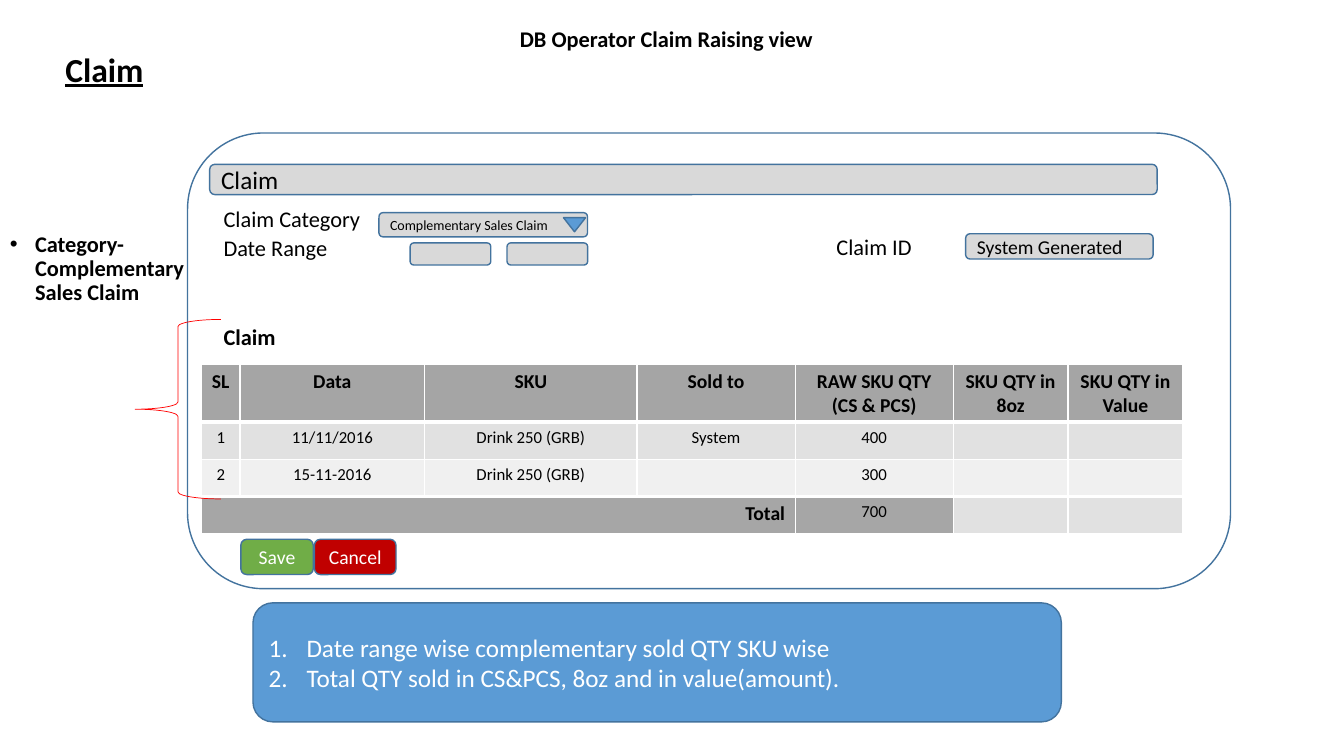
from dataclasses import dataclass

from lxml import etree
from pptx import Presentation
from pptx import util as u
from pptx.dml import color
from pptx.enum import shapes, text
from pptx.oxml import ns

KIND = shapes.MSO_SHAPE
ALIGN = text.PP_ALIGN
BLACK, WHITE, GREY, BLUE = "000000", "FFFFFF", "D9D9D9", "5B9BD5"
EDGE, HEAD, DARK, PALE = "43739E", "A5A5A5", "E1E1E1", "F0F0F0"


@dataclass
class Label:
    x: float
    y: float
    w: float
    h: float
    words: str
    size: float = 16
    bold: bool = False
    line: bool = False
    dot: bool = False


@dataclass
class Box:
    x: float
    y: float
    w: float
    h: float
    fill: str = GREY
    words: str = ""
    size: float = 14
    ink: str = BLACK
    align: ALIGN = ALIGN.LEFT
    kind: KIND = KIND.ROUNDED_RECTANGLE
    edge: str = EDGE
    width: float = 1
    count: bool = False


def paint(code: str) -> color.RGBColor:
    return color.RGBColor.from_string(code)


def style(para, size: float, ink: str, bold: bool = False, line: bool = False) -> None:
    for run in para.runs:
        font = run.font
        font.name = "Calibri"
        font.size = u.Pt(size)
        font.bold = bold
        font.underline = line
        font.color.rgb = paint(ink)


def mark(para, tag: str, indent: float, **attrs: str) -> None:
    props = para._p.get_or_add_pPr()
    props.set("marL", str(u.Pt(indent)))
    props.set("indent", str(-u.Pt(indent)))
    font = etree.SubElement(props, ns.qn("a:buFont"))
    font.set("typeface", "Arial" if tag == "a:buChar" else "+mj-lt")
    etree.SubElement(props, ns.qn(tag), attrs)


def write(slide, label: Label) -> None:
    place = map(u.Pt, (label.x, label.y, label.w, label.h))
    frame = slide.shapes.add_textbox(*place).text_frame
    frame.word_wrap = True
    frame.text = label.words
    para = frame.paragraphs[0]
    para.line_spacing = 0.9
    para.space_before = u.Pt(10)
    style(para, label.size, BLACK, label.bold, label.line)
    if label.dot:
        mark(para, "a:buChar", 18, char="•")


def draw(slide, box: Box) -> None:
    place = map(u.Pt, (box.x, box.y, box.w, box.h))
    shape = slide.shapes.add_shape(box.kind, *place)
    shape.shadow.inherit = False
    if box.fill:
        shape.fill.solid()
        shape.fill.fore_color.rgb = paint(box.fill)
    else:
        shape.fill.background()
    shape.line.color.rgb = paint(box.edge)
    shape.line.width = u.Pt(box.width)
    if not box.words:
        return
    frame = shape.text_frame
    frame.vertical_anchor = text.MSO_ANCHOR.MIDDLE
    frame.text = box.words
    for para in frame.paragraphs:
        para.alignment = box.align
        style(para, box.size, box.ink)
        if box.count:
            mark(para, "a:buAutoNum", 27, type="arabicPeriod")


def border(cell, top: float, base: float) -> None:
    props = cell._tc.get_or_add_tcPr()
    sides = {"a:lnL": 1, "a:lnR": 1, "a:lnT": top, "a:lnB": base}
    for spot, (tag, width) in enumerate(sides.items()):
        line = etree.Element(ns.qn(tag), w=str(u.Pt(width)))
        fill = etree.SubElement(line, ns.qn("a:solidFill"))
        etree.SubElement(fill, ns.qn("a:srgbClr"), val=WHITE)
        props.insert(spot, line)


def fill_cell(cell, words: str, fill: str, bold: bool, align: ALIGN) -> None:
    cell.fill.solid()
    cell.fill.fore_color.rgb = paint(fill)
    cell.text = words
    para = cell.text_frame.paragraphs[0]
    para.alignment = align
    style(para, 14 if bold else 12, BLACK, bold)
    if not words:
        para._p.get_or_add_endParaRPr().set("sz", "1200")


def add_grid(slide) -> None:
    widths = (27.4, 132, 151.6, 113, 113, 82, 82)
    heights = (37.4, 26.6, 26.6, 26.6)
    rows = (
        ("SL", "Data", "SKU", "Sold to", "RAW SKU QTY (CS & PCS)",
         "SKU QTY in 8oz", "SKU QTY in Value"),
        ("1", "11/11/2016", "Drink 250 (GRB)", "System", "400", "", ""),
        ("2", "15-11-2016", "Drink 250 (GRB)", "", "300", "", ""),
        ("Total", "", "", "", "700", "", ""),
    )
    last = len(rows) - 1
    grid = slide.shapes.add_table(
        len(rows), len(widths), u.Pt(144), u.Pt(260.6),
        u.Pt(sum(widths)), u.Pt(sum(heights))).table
    grid.first_row = grid.horz_banding = False
    for col, width in zip(grid.columns, widths):
        col.width = u.Pt(width)
    for row, height in zip(grid.rows, heights):
        row.height = u.Pt(height)
    grid.cell(last, 0).merge(grid.cell(last, 3))
    fills = (HEAD, DARK, PALE, DARK)
    for r, row in enumerate(rows):
        for c, words in enumerate(row):
            cell = grid.cell(r, c)
            total = r == last and c < 5
            align = ALIGN.RIGHT if words == "Total" else ALIGN.CENTER
            bold = r == 0 or words == "Total"
            fill_cell(cell, words, "A6A6A6" if total else fills[r], bold, align)
            border(cell, 3 if r in (1, last) else 1, 3 if r in (0, last - 1) else 1)


def main() -> None:
    deck = Presentation()
    deck.slide_width, deck.slide_height = u.Pt(960), u.Pt(540)
    slide = deck.slides.add_slide(deck.slide_layouts[6])
    mid = ALIGN.CENTER
    boxes = (
        Box(134, 95, 745, 325.5, fill=""),
        Box(270.7, 151.9, 149, 17.3, words="Complementary Sales Claim", size=10),
        Box(402.5, 155.5, 15.8, 10.1, BLUE, kind=KIND.FLOWCHART_MERGE),
        Box(293, 173.5, 57.6, 15.8),
        Box(362.2, 173.5, 57.6, 15.8),
        Box(149.8, 117.4, 676.8, 21.6, words="Claim", size=18),
        Box(689.8, 167, 133.9, 18, words="System Generated"),
        Box(172, 385.2, 51.8, 25.2, "70AD47", "Save", ink=WHITE, align=mid),
        Box(224.6, 385.2, 58.3, 25.2, "C00000", "Cancel", ink=WHITE, align=mid),
        Box(180.7, 430.6, 577.4, 85, BLUE,
            "Date range wise complementary sold QTY SKU wise\n"
            "Total QTY sold in CS&PCS, 8oz and in value(amount).",
            18, WHITE, count=True),
    )
    labels = (
        Label(364.3, 16.6, 228, 50.4, "DB Operator Claim Raising view", bold=True),
        Label(39.6, 34.6, 118, 30, "Claim", 24, bold=True, line=True),
        Label(0, 162.7, 150.5, 87, "Category- Complementary Sales Claim",
              bold=True, dot=True),
        Label(152.6, 145.4, 118, 30, "Claim Category"),
        Label(152.6, 165.6, 118, 20, "Date Range"),
        Label(590.4, 164.9, 118, 20, "Claim ID"),
        Label(152.6, 229.7, 118, 30, "Claim", bold=True),
    )
    for box in boxes:
        draw(slide, box)
    for label in labels:
        write(slide, label)
    add_grid(slide)
    draw(slide, Box(96.5, 228.2, 61.2, 128.2, fill="", kind=KIND.LEFT_BRACE,
                    edge="FF0000", width=0.5))
    deck.save("out.pptx")


if __name__ == "__main__":
    main()
